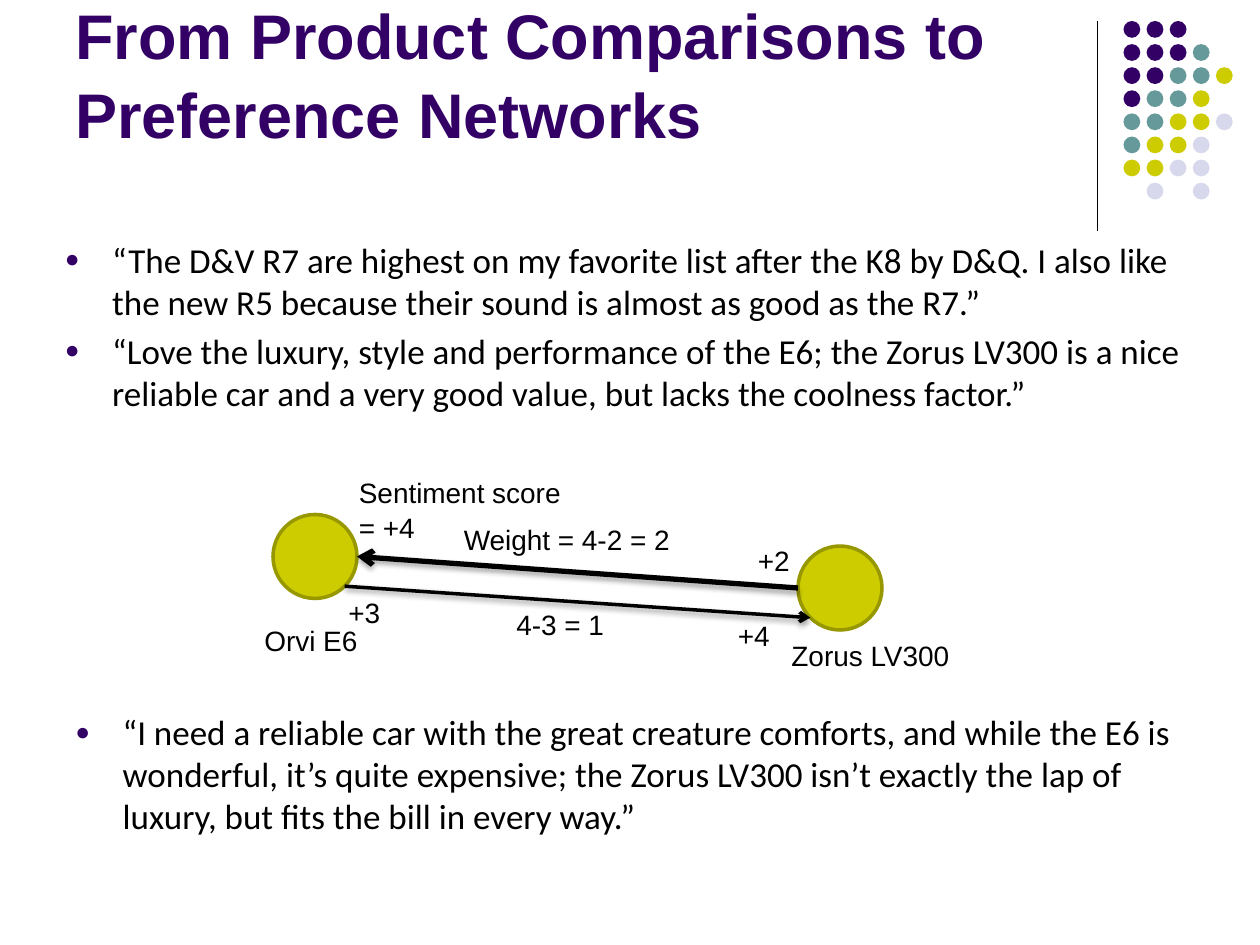
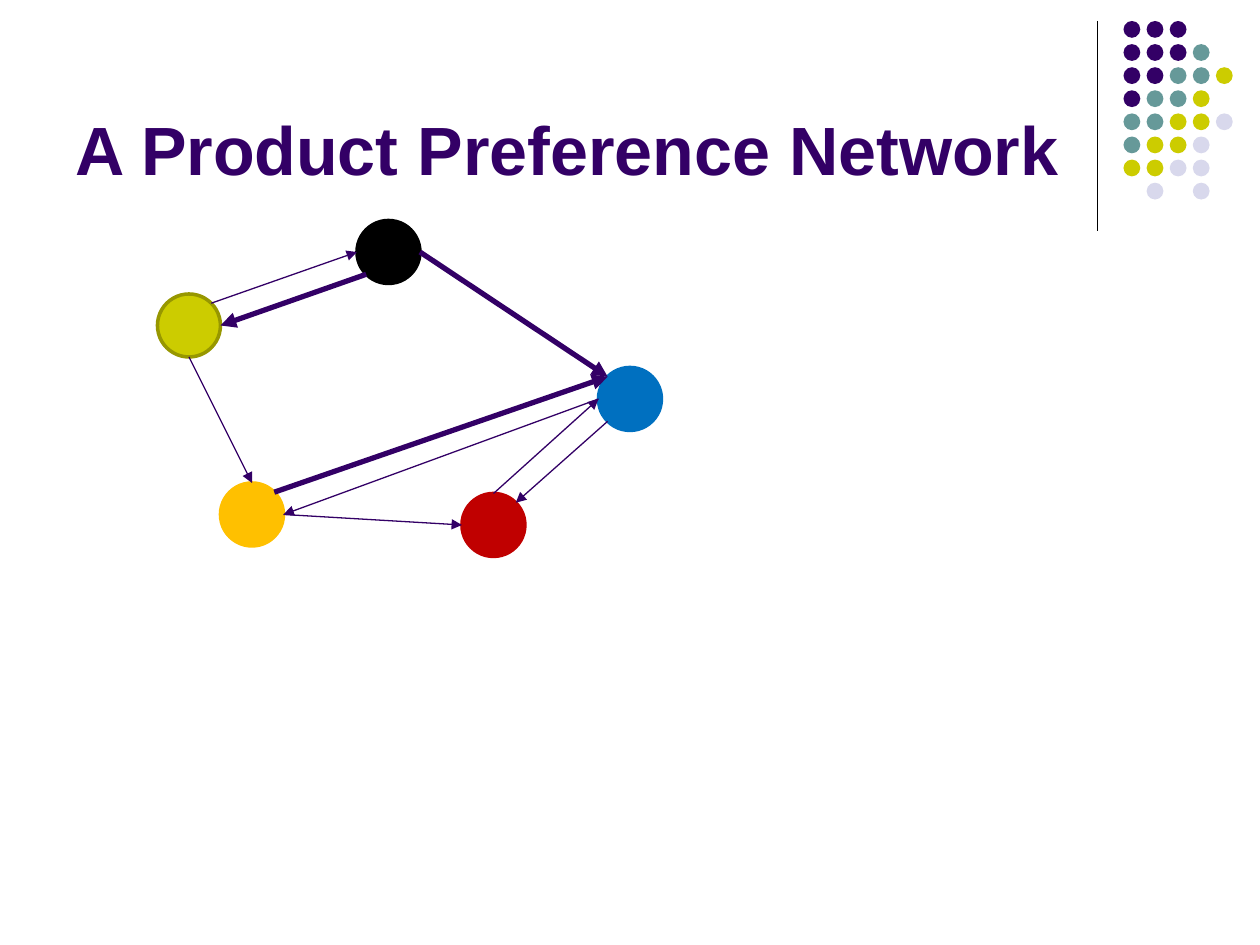
from dataclasses import dataclass
from math import cos, radians, sin

from lxml import etree
from pptx import Presentation
from pptx.dml.color import RGBColor
from pptx.enum.shapes import MSO_CONNECTOR, MSO_SHAPE
from pptx.enum.text import MSO_ANCHOR, MSO_AUTO_SIZE
from pptx.oxml.ns import qn
from pptx.util import Pt

PX = 7620  # EMU per px, 120 px to the inch
ELLIPSE = MSO_SHAPE.OVAL
STRAIGHT = MSO_CONNECTOR.STRAIGHT
TOP, BOTTOM = MSO_ANCHOR.TOP, MSO_ANCHOR.BOTTOM
GROW, FIXED = MSO_AUTO_SIZE.SHAPE_TO_FIT_TEXT, MSO_AUTO_SIZE.NONE

# Connection sites of an ellipse, counter-clockwise from the top
N, NW, W, SW, S, SE, E, NE = range(8)


@dataclass(frozen=True)
class Theme:
    purple: str = "330066"
    teal: str = "669999"
    olive: str = "CCCC00"
    olive_edge: str = "979700"
    lavender: str = "D8D8EC"
    black: str = "000000"
    blue: str = "0070C0"
    amber: str = "FFC000"
    red: str = "C00000"
    heading_font: str = "Arial"
    body_font: str = "Calibri"
    title_size: int = 39
    long_title_size: int = 36
    body_size: int = 20
    label_size: int = 16
    heading_spacing: float = 1.05
    bullet_gap: int = 4
    bullet_indent: int = 45
    thin: float = 0.75
    medium: float = 2
    thick: float = 3


THEME = Theme()
DOT_ROWS = ["PPP", "PPPT", "PPTTO", "PTTO", "TTOOL", "TOOL", "OOLL", " L L"]
DOT_COLORS = {"P": THEME.purple, "T": THEME.teal,
              "O": THEME.olive, "L": THEME.lavender}


def add_xml(parent, tag, **attributes):
    values = {name: str(value) for name, value in attributes.items()}
    return etree.SubElement(parent, qn(tag), values)


def add_bullet(para, theme):
    properties = para._p.get_or_add_pPr()
    indent = theme.bullet_indent * PX
    properties.set("marL", str(indent))
    properties.set("indent", str(-indent))
    color = add_xml(properties, "a:buClr")
    add_xml(color, "a:srgbClr", val=theme.purple)
    add_xml(properties, "a:buSzPct", val=70000)
    add_xml(properties, "a:buFont", typeface=theme.heading_font)
    add_xml(properties, "a:buChar", char="●")


def site_point(node, site):
    """Return the EMU position of a connection site on an ellipse."""
    angle = radians(90 + 45 * site)
    x = node.left + node.width / 2 * (1 + cos(angle))
    y = node.top + node.height / 2 * (1 - sin(angle))
    return round(x), round(y)


class SlideBuilder:
    def __init__(self, deck, theme):
        self.deck = deck
        self.theme = theme
        self.slide = None

    def new_slide(self, title, top, size):
        self.slide = self.deck.slides.add_slide(self.deck.slide_layouts[6])
        self.rule()
        self.dots()
        self.text(title, 60, top, 990, 170, size=size, bold=True,
                  color=self.theme.purple, anchor=BOTTOM)

    def rule(self):
        x = 1045 * PX
        line = self.slide.shapes.add_connector(STRAIGHT, x, 20 * PX, x, 220 * PX)
        self.style_line(line, self.theme.black, self.theme.thin)
        add_xml(line._element.spPr, "a:effectLst")

    def dots(self):
        for row, letters in enumerate(DOT_ROWS):
            for column, letter in enumerate(letters):
                if letter in DOT_COLORS:
                    self.circle(1070 + 22 * column, 20 + 22 * row, 16,
                                DOT_COLORS[letter])

    def circle(self, left, top, size, fill, edge=None):
        circle = self.slide.shapes.add_shape(
            ELLIPSE, left * PX, top * PX, size * PX, size * PX)
        circle.shadow.inherit = False
        circle.fill.solid()
        circle.fill.fore_color.rgb = RGBColor.from_string(fill)
        if edge:
            self.style_line(circle, edge, self.theme.medium)
        else:
            circle.line.fill.background()
        return circle

    def style_line(self, shape, color, width):
        shape.line.color.rgb = RGBColor.from_string(color)
        shape.line.width = Pt(width)

    def text(self, text, left, top, width, height, *, size, font=None,
             color=None, bold=False, anchor=TOP, wrap=True, bullets=False):
        """Add a text box; each line of the text becomes a paragraph."""
        box = self.slide.shapes.add_textbox(
            left * PX, top * PX, width * PX, height * PX)
        frame = box.text_frame
        frame.word_wrap = wrap
        frame.auto_size = FIXED if wrap else GROW
        frame.vertical_anchor = anchor
        for index, line in enumerate(text.split("\n")):
            para = frame.paragraphs[0] if index == 0 else frame.add_paragraph()
            if bullets:
                para.space_before = Pt(self.theme.bullet_gap)
                add_bullet(para, self.theme)
            else:
                para.line_spacing = self.theme.heading_spacing
            span = para.add_run()
            span.text = line
            span.font.name = font or self.theme.heading_font
            span.font.size = Pt(size)
            span.font.bold = bold
            span.font.color.rgb = RGBColor.from_string(color or self.theme.black)

    def quotes(self, text, left, top, width, height):
        self.text(text, left, top, width, height, size=self.theme.body_size,
                  font=self.theme.body_font, bullets=True)

    def label(self, text, left, top, width, height=44):
        self.text(text, left, top, width, height,
                  size=self.theme.label_size, wrap=False)

    def arrow(self, start, start_site, end, end_site, width, *,
              color=None, head="triangle", shadow=None):
        """Join two circles; shadow is (opacity in percent, distance in EMU)."""
        arrow = self.slide.shapes.add_connector(
            STRAIGHT, *site_point(start, start_site), *site_point(end, end_site))
        self.style_line(arrow, color or self.theme.purple, width)
        add_xml(arrow.line._get_or_add_ln(), "a:tailEnd", type=head)
        joints = arrow._element.find(".//" + qn("p:cNvCxnSpPr"))
        add_xml(joints, "a:stCxn", id=start.shape_id, idx=start_site)
        add_xml(joints, "a:endCxn", id=end.shape_id, idx=end_site)
        effects = add_xml(arrow._element.spPr, "a:effectLst")
        if shadow:
            opacity, distance = shadow
            outer = add_xml(effects, "a:outerShdw", blurRad=40000,
                            dist=distance, dir=5400000, rotWithShape=0)
            tint = add_xml(outer, "a:srgbClr", val=self.theme.black)
            add_xml(tint, "a:alpha", val=opacity * 1000)


def build_comparisons(builder):
    theme = builder.theme
    builder.new_slide("From Product Comparisons to Preference Networks",
                      -20, theme.long_title_size)
    builder.quotes(
        "“The D&V R7 are highest on my favorite list after the K8 by D&Q. "
        "I also like the new R5 because their sound is almost as good as the R7.”\n"
        "“Love the luxury, style and performance of the E6; the Zorus LV300 is a "
        "nice reliable car and a very good value, but lacks the coolness factor.”",
        50, 221, 1100, 578)

    left_car = builder.circle(260, 490, 80, theme.olive, theme.olive_edge)
    right_car = builder.circle(760, 520, 80, theme.olive, theme.olive_edge)
    builder.arrow(right_car, W, left_car, E, theme.thick, color=theme.black,
                  head="arrow", shadow=(35, 23000))
    builder.arrow(left_car, SE, right_car, SW, theme.medium, color=theme.black,
                  head="arrow", shadow=(38, 20000))

    builder.label("Orvi E6", 240, 586, 116)
    builder.label("Zorus LV300", 742, 601, 187)
    builder.label("Sentiment score\n= +4", 330, 445, 227, 77)
    builder.label("Weight = 4-2 = 2", 430, 490, 223)
    builder.label("4-3 = 1", 480, 571, 109)
    for score, left, top in [("+2", 710, 510), ("+3", 320, 560), ("+4", 691, 582)]:
        builder.label(score, left, top, 55)

    builder.quotes(
        "“I need a reliable car with the great creature comforts, and while the "
        "E6 is wonderful, it’s quite expensive; the Zorus LV300 isn’t exactly the "
        "lap of luxury, but fits the bill in every way.”",
        60, 671, 1080, 220)


def build_network(builder):
    theme = builder.theme
    builder.new_slide("A Product Preference Network", 16, theme.title_size)
    olive = builder.circle(150, 280, 60, theme.olive, theme.olive_edge)
    black = builder.circle(340, 210, 60, theme.black, theme.black)
    blue = builder.circle(570, 350, 60, theme.blue, theme.blue)
    amber = builder.circle(210, 460, 60, theme.amber, theme.amber)
    red = builder.circle(440, 470, 60, theme.red, theme.red)

    preferences = [
        (olive, NE, black, W, theme.thin),
        (black, SW, olive, E, theme.thick),
        (black, E, blue, NW, theme.thick),
        (blue, SW, red, NE, theme.thin),
        (red, N, blue, W, theme.thin),
        (olive, S, amber, N, theme.thin),
        (amber, E, red, W, theme.thin),
        (amber, NE, blue, NW, theme.thick),
        (blue, W, amber, E, theme.thin),
    ]
    for preference in preferences:
        builder.arrow(*preference)


def main():
    deck = Presentation()
    deck.slide_width, deck.slide_height = 1200 * PX, 900 * PX
    builder = SlideBuilder(deck, THEME)
    build_comparisons(builder)
    build_network(builder)
    deck.save("out.pptx")


if __name__ == "__main__":
    main()
